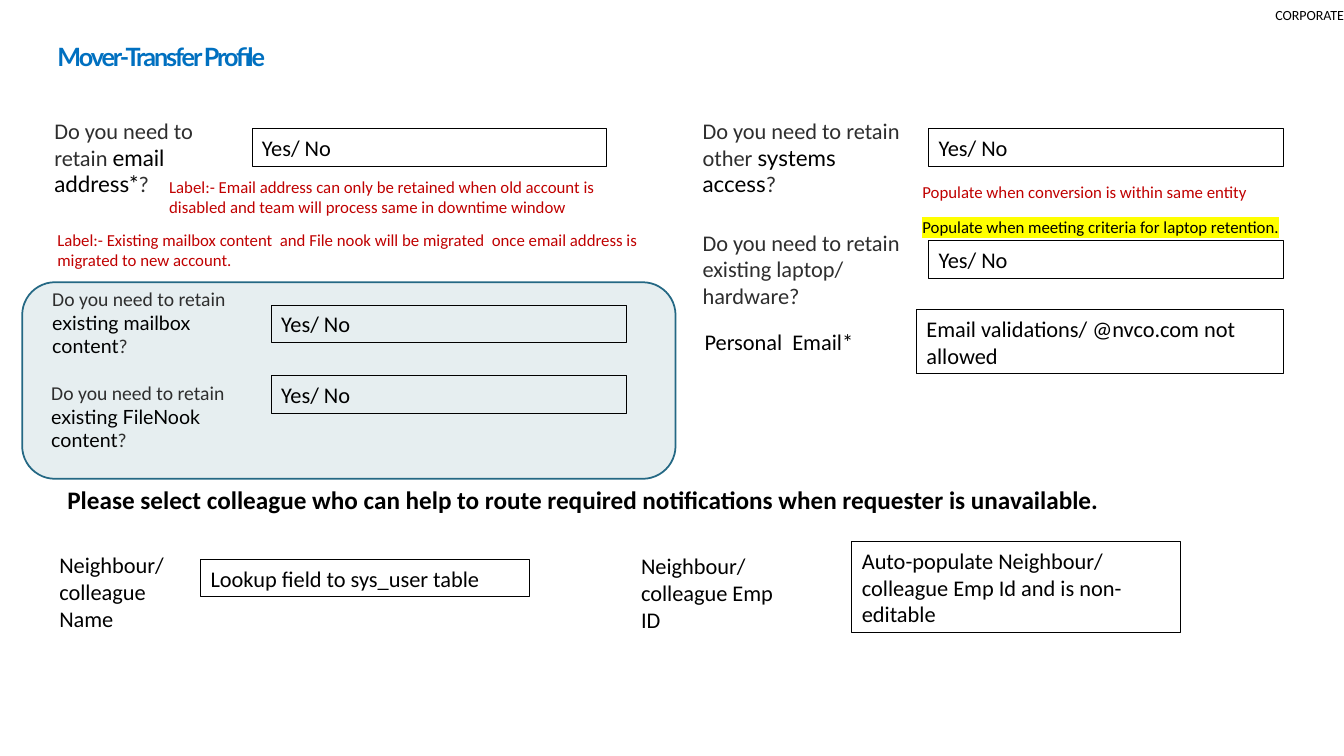
from dataclasses import dataclass
from typing import Optional

from lxml.etree import Element
from pptx import Presentation
from pptx.dml.color import RGBColor as Rgb
from pptx.enum.shapes import MSO_SHAPE as Preset
from pptx.enum.text import MSO_ANCHOR as Anchor, PP_ALIGN as Align
from pptx.oxml.ns import qn
from pptx.util import Inches, Pt


@dataclass(frozen=True)
class Theme:
    """Colours, fonts and type sizes of the form."""
    black: str = "000000"
    question: str = "2E2E2E"
    title: str = "0070C0"
    note: str = "C00000"
    marker: str = "FFFF00"
    panel: str = "E6EEF0"
    panel_line: str = "246884"
    body_font: str = "Calibri"
    accent_font: str = "Lato"
    tag_size: int = 10
    note_size: int = 12
    small_size: int = 14
    body_size: int = 16
    head_size: int = 18


THEME = Theme()


@dataclass(frozen=True)
class Span:
    """A run of text with its own look."""
    text: str
    size: int = THEME.body_size
    color: str = THEME.black
    font: str = THEME.body_font
    bold: bool = False
    tracking: Optional[int] = None
    highlight: Optional[str] = None


@dataclass(frozen=True)
class TextItem:
    """A block of text, optionally framed as a form field."""
    left: float
    top: float
    width: float
    height: float
    spans: tuple[Span, ...]
    framed: bool = False
    inset: Optional[float] = None
    align: Align = Align.LEFT
    anchor: Anchor = Anchor.TOP


def question(left: float, top: float, width: float, lead: str, accent: str,
             size: int = THEME.body_size, height: float = 0.91) -> TextItem:
    """Describe a question whose key words are accented."""
    return TextItem(left, top, width, height, (
        Span(lead, size, THEME.question),
        Span(accent, size, font=THEME.accent_font),
        Span("?", size, THEME.question)))


def label(left: float, top: float, width: float, height: float, text: str,
          color: str = THEME.black) -> TextItem:
    """Describe a plain label."""
    return TextItem(left, top, width, height, (Span(text, color=color),))


def note(left: float, top: float, width: float, height: float, text: str) -> TextItem:
    """Describe a red explanatory note."""
    return TextItem(left, top, width, height, (Span(text, THEME.note_size, THEME.note),))


def field(left: float, top: float, width: float = 3.52, height: float = 0.37,
          text: str = "Yes/ No") -> TextItem:
    """Describe a framed form field."""
    return TextItem(left, top, width, height, (Span(text),), framed=True, anchor=Anchor.MIDDLE)


RETAIN = "Do you need to retain "
ITEMS = (
    TextItem(12.33, 0, 1, 0.29, (Span("CORPORATE", THEME.tag_size),),
             inset=0, align=Align.RIGHT, anchor=Anchor.MIDDLE),
    TextItem(0.32, 0.26, 12.35, 0.62,
             (Span("Mover-Transfer Profile", THEME.head_size, THEME.title,
                   THEME.accent_font, True, -150),), inset=0.25),
    TextItem(0.57, 4.76, 11.64, 0.4,
             (Span("Please select colleague who can help to route required "
                   "notifications when requester is unavailable.",
                   THEME.head_size, bold=True),)),
    label(0.49, 5.42, 1.5, 0.91, "Neighbour/ colleague Name"),
    field(1.99, 5.55, 3.26, text="Lookup field to sys_user table"),
    label(6.26, 5.43, 1.67, 0.91, "Neighbour/ colleague Emp ID"),
    field(8.45, 5.37, 3.26, 0.91,
          "Auto-populate Neighbour/ colleague Emp Id and is non-editable"),
    question(0.44, 1.11, 1.95, RETAIN, "email address*"),
    field(2.5, 1.28),
    question(0.42, 2.8, 2.16, RETAIN, "existing mailbox content", THEME.small_size, 0.81),
    field(2.69, 3.03),
    question(6.87, 1.11, 2.16, RETAIN + "other ", "systems access"),
    field(9.21, 1.28),
    question(0.41, 3.73, 2.28, RETAIN, "existing FileNook content", THEME.small_size, 0.81),
    field(2.69, 3.73),
    label(6.87, 2.22, 2.16, 0.91, RETAIN + "existing laptop/ hardware?", THEME.question),
    field(9.21, 2.39),
    label(6.89, 3.21, 2.16, 0.37, "Personal  Email*"),
    field(9.09, 3.07, 3.64, 0.64, "Email validations/ @nvco.com not allowed"),
    note(1.58, 1.7, 4.44, 0.5, "Label:- Email address can only be retained when old account "
         "is disabled and team will process same in downtime window"),
    note(9.05, 1.75, 4.05, 0.3, "Populate when conversion is within same entity"),
    note(0.47, 2.23, 6.2, 0.5, "Label:- Existing mailbox content  and File nook will be "
         "migrated  once email address is migrated to new account."),
    TextItem(9.05, 2.1, 4.05, 0.3,
             (Span("Populate when meeting criteria for laptop retention.",
                   THEME.note_size, highlight=THEME.marker),)),
)


def add_span(para, span: Span) -> None:
    """Append one run to a paragraph."""
    run = para.add_run()
    run.text = span.text
    font = run.font
    font.size, font.name, font.bold = Pt(span.size), span.font, span.bold
    font.color.rgb = Rgb.from_string(span.color)
    properties = run._r.get_or_add_rPr()
    if span.tracking is not None:
        properties.set("spc", str(span.tracking))
    if span.highlight:
        highlight = Element(qn("a:highlight"))
        color = Element(qn("a:srgbClr"), val=span.highlight)
        highlight.append(color)
        properties.find(qn("a:solidFill")).addnext(highlight)


def add_item(page, item: TextItem) -> None:
    """Draw one text block or form field."""
    bounds = [Inches(n) for n in (item.left, item.top, item.width, item.height)]
    if item.framed:
        box = page.shapes.add_shape(Preset.RECTANGLE, *bounds)
        box.shadow.inherit = False
        box.fill.background()
        box.line.color.rgb = Rgb.from_string(THEME.black)
        box.line.width = Pt(0.75)
    else:
        box = page.shapes.add_textbox(*bounds)
    frame = box.text_frame
    frame.word_wrap = True
    frame.vertical_anchor = item.anchor
    if item.inset is not None:
        frame.margin_left = frame.margin_right = Inches(item.inset)
        frame.margin_top = frame.margin_bottom = Inches(item.inset)
    para = frame.paragraphs[0]
    para.alignment = item.align
    for span in item.spans:
        add_span(para, span)


def add_panel(page) -> None:
    """Draw the rounded panel behind the content questions."""
    panel = page.shapes.add_shape(Preset.ROUNDED_RECTANGLE, Inches(0.22), Inches(2.8),
                                  Inches(6.48), Inches(1.95))
    panel.shadow.inherit = False
    panel.fill.solid()
    panel.fill.fore_color.rgb = Rgb.from_string(THEME.panel)
    panel.line.color.rgb = Rgb.from_string(THEME.panel_line)
    panel.line.width = Pt(1.25)


def main() -> None:
    """Build and save the deck."""
    deck = Presentation()
    deck.slide_width, deck.slide_height = Inches(13.33), Inches(7.5)
    page = deck.slides.add_slide(deck.slide_layouts[6])
    add_panel(page)
    for item in ITEMS:
        add_item(page, item)
    deck.save("out.pptx")


if __name__ == "__main__":
    main()
